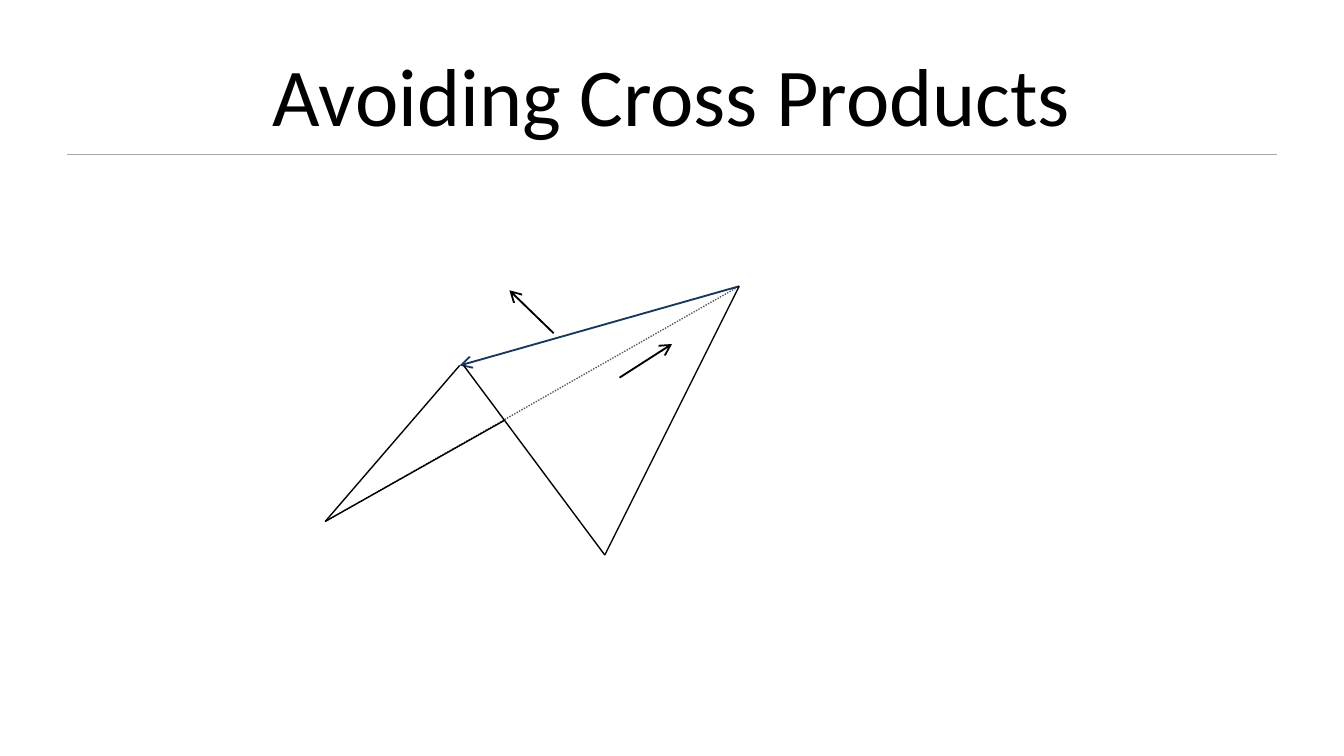
from lxml import etree
from pptx import Presentation
from pptx.dml.color import RGBColor
from pptx.enum.dml import MSO_LINE
from pptx.enum.shapes import MSO_CONNECTOR
from pptx.enum.text import MSO_ANCHOR, PP_ALIGN
from pptx.oxml.ns import qn
from pptx.util import Inches, Pt

STRAIGHT = MSO_CONNECTOR.STRAIGHT
DOTTED = MSO_LINE.ROUND_DOT
MIDDLE = MSO_ANCHOR.MIDDLE
CENTER = PP_ALIGN.CENTER

BLACK = RGBColor(0x00, 0x00, 0x00)
NAVY = RGBColor(0x17, 0x37, 0x5E)
DARK_GRAY = RGBColor(0x59, 0x59, 0x59)
RULE_GRAY = RGBColor(0xA6, 0xA6, 0xA6)

SLIDE_WIDTH = 10
SLIDE_HEIGHT = SLIDE_WIDTH * 9 / 16
TITLE_BOX = (0.5, 0.23, 9, 0.94)
TRIANGLES_BOX = (2.42, 2.13, 3.08, 2)


def add_line(slide, start, end, color=BLACK, width=0.75, dash=None, arrow=None):
    """Draw a straight line, with an open arrowhead at 'headEnd' or 'tailEnd'."""
    ends = [Inches(value) for value in (*start, *end)]
    connector = slide.shapes.add_connector(STRAIGHT, *ends)
    connector.line.color.rgb = color
    connector.line.width = Pt(width)
    if dash:
        connector.line.dash_style = dash
    properties = connector._element.spPr
    if arrow:
        outline = properties.find(qn("a:ln"))
        etree.SubElement(outline, qn(f"a:{arrow}"), type="arrow")
    etree.SubElement(properties, qn("a:effectLst"))


def add_heading(slide, box, text):
    """Fill the title placeholder and underline it across the box."""
    left, top, width, height = box
    title = slide.shapes.title
    title.left, title.top, title.width, title.height = map(Inches, box)
    title.text_frame.text = text
    title.text_frame.vertical_anchor = MIDDLE
    paragraph = title.text_frame.paragraphs[0]
    paragraph.alignment = CENTER
    for name, value in {"name": "Calibri", "size": Pt(44)}.items():
        setattr(paragraph.font, name, value)
    paragraph.font.color.rgb = BLACK
    rule_y = top + height - 0.02
    add_line(slide, (left, rule_y), (left + width, rule_y), RULE_GRAY, 1)


def add_triangles(slide, box):
    """Draw two triangles sharing an edge, with the two direction arrows."""
    left, top, width, height = box

    def at(x, y):
        """Shift a point from the box to the slide."""
        return left + x, top + y

    far_left = at(0, 1.75)
    far_right = at(width, 0)
    bottom = at(2.08, height)
    shared_corner = at(1, 0.59)
    crossing = at(1.33, 1)

    add_line(slide, far_left, far_right, DARK_GRAY, dash=DOTTED)
    add_line(slide, shared_corner, far_right, NAVY, 1, arrow="headEnd")
    sides = [
        (shared_corner, far_left),
        (at(1.03, 0.59), bottom),
        (bottom, far_right),
        (far_left, crossing),
    ]
    for start, end in sides:
        add_line(slide, start, end)
    directions = [
        (at(1.7, 0.35), at(1.37, 0.03)),
        (at(2.19, 0.68), at(2.58, 0.43)),
    ]
    for start, end in directions:
        add_line(slide, start, end, width=1, arrow="tailEnd")


def main():
    """Build the slide and save it."""
    presentation = Presentation()
    presentation.slide_width = Inches(SLIDE_WIDTH)
    presentation.slide_height = Inches(SLIDE_HEIGHT)
    slide = presentation.slides.add_slide(presentation.slide_layouts[5])
    add_heading(slide, TITLE_BOX, "Avoiding Cross Products")
    add_triangles(slide, TRIANGLES_BOX)
    presentation.save("out.pptx")


if __name__ == "__main__":
    main()
